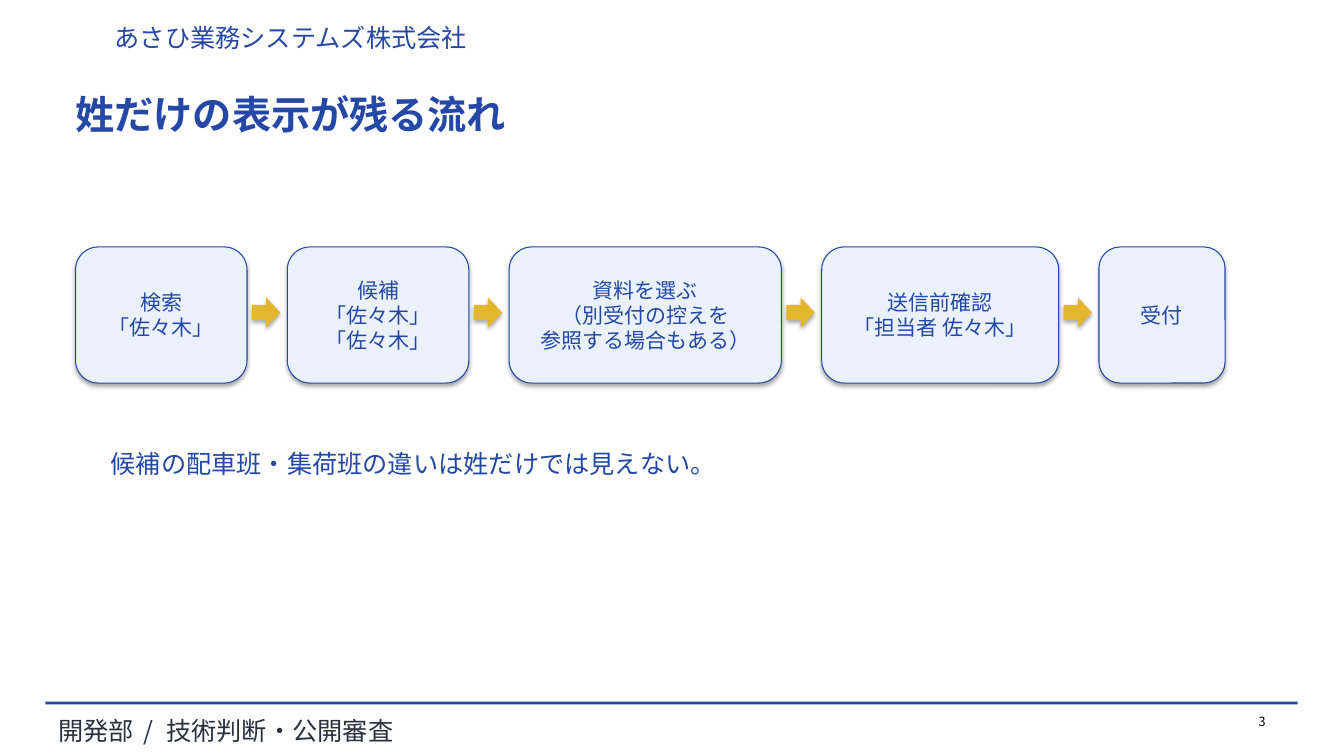
from pptx import Presentation, util as u
from pptx.dml.color import RGBColor
from pptx.enum import shapes, text

FONT = "Noto Sans CJK JP"
BLUE = RGBColor(0x25, 0x48, 0xA6)
FLOW_BLUE = RGBColor(0x24, 0x48, 0xA5)
PALE = RGBColor(0xEA, 0xF1, 0xFA)
ARROW = RGBColor(0xE3, 0xB6, 0x2E)
INK = RGBColor(0x29, 0x31, 0x3F)
BLACK = RGBColor(0, 0, 0)
CELL = 0.05
GAP = 8

STEPS = [
    (34, ["検索", "「佐々木」"]),
    (36, ["候補", "「佐々木」", "「佐々木」"]),
    (54, ["資料を選ぶ", "（別受付の控えを", "参照する場合もある）"]),
    (47, ["送信前確認", "「担当者 佐々木」"]),
    (25, ["受付"]),
]


def cells(*counts):
    """Turn counts of grid cells into lengths."""
    return [u.Inches(count * CELL) for count in counts]


def style_span(span, size, color, bold=False):
    """Give one run its font, size and colour."""
    span.font.name = FONT
    span.font.size = u.Pt(size)
    span.font.bold = bold
    span.font.color.rgb = color


def add_label(page, area, parts, size, color, bold=False, align=text.PP_ALIGN.LEFT):
    """Write one line of text in an area and return its runs."""
    box = page.shapes.add_textbox(*cells(*area))
    box.text_frame.word_wrap = True
    para = box.text_frame.paragraphs[0]
    para.alignment = align
    spans = []
    for part in parts:
        span = para.add_run()
        span.text = part
        style_span(span, size, color, bold)
        spans.append(span)
    return spans


def add_plain(page, kind, area, color):
    """Draw a filled shape without outline."""
    shape = page.shapes.add_shape(kind, *cells(*area))
    shape.fill.solid()
    shape.fill.fore_color.rgb = color
    shape.line.fill.background()
    return shape


def build_header(page, left, top, width, height):
    """Place the company name and the title."""
    add_label(page, (left + 7.8, top, 140, 9), ["あさひ業務システムズ株式会社"], 18, BLUE)
    add_label(page, (left, top + 13.6, width, height - 13.6),
              ["姓だけの表示が残る流れ"], 28, BLUE, bold=True)


def build_step(page, area, lines):
    """Draw one rounded step with centred lines."""
    box = page.shapes.add_shape(shapes.MSO_SHAPE.ROUNDED_RECTANGLE, *cells(*area))
    box.fill.solid()
    box.fill.fore_color.rgb = PALE
    box.line.color.rgb = FLOW_BLUE
    box.line.width = u.Pt(0.75)
    frame = box.text_frame
    frame.word_wrap = True
    frame.vertical_anchor = text.MSO_ANCHOR.MIDDLE
    frame.text = "\n".join(lines)
    for para in frame.paragraphs:
        para.alignment = text.PP_ALIGN.CENTER
        for span in para.runs:
            style_span(span, 15, FLOW_BLUE)


def build_flow(page, left, top, height):
    """Lay the steps in a row with an arrow in each gap."""
    for index, (width, lines) in enumerate(STEPS):
        if index:
            add_plain(page, shapes.MSO_SHAPE.RIGHT_ARROW,
                      (left - GAP + 1, top + 10, 5.6, 6), ARROW)
        build_step(page, (left, top, width, height), lines)
        left += width + GAP


def build_footer(page, left, top, width):
    """Place the rule, the department line and the page number."""
    rule = add_plain(page, shapes.MSO_SHAPE.RECTANGLE, (left, top, width, 0.6), BLUE)
    rule.shadow.inherit = False
    spans = add_label(page, (left + 0.6, top + 1.8, 200, 8),
                      ["開発部", " / ", "技術判断・公開審査"], 18, INK)
    spans[1]._r.get_or_add_rPr().set("spc", "270")
    add_label(page, (left + width - 16.4, top + 1.4, 12, 6), ["3"], 9, BLACK,
              align=text.PP_ALIGN.RIGHT)


def main():
    """Build the slide and save it."""
    deck = Presentation()
    deck.slide_width, deck.slide_height = u.Inches(13.33), u.Inches(7.5)
    page = deck.slides.add_slide(deck.slide_layouts[6])
    build_header(page, 13, 3.4, 240, 33.6)
    build_flow(page, 15, 49, 27)
    add_label(page, (20, 88, 220, 14),
              ["候補の配車班・集荷班の違いは姓だけでは見えない。"], 18, FLOW_BLUE)
    build_footer(page, 9, 139.2, 248.4)
    deck.save("out.pptx")


if __name__ == "__main__":
    main()
